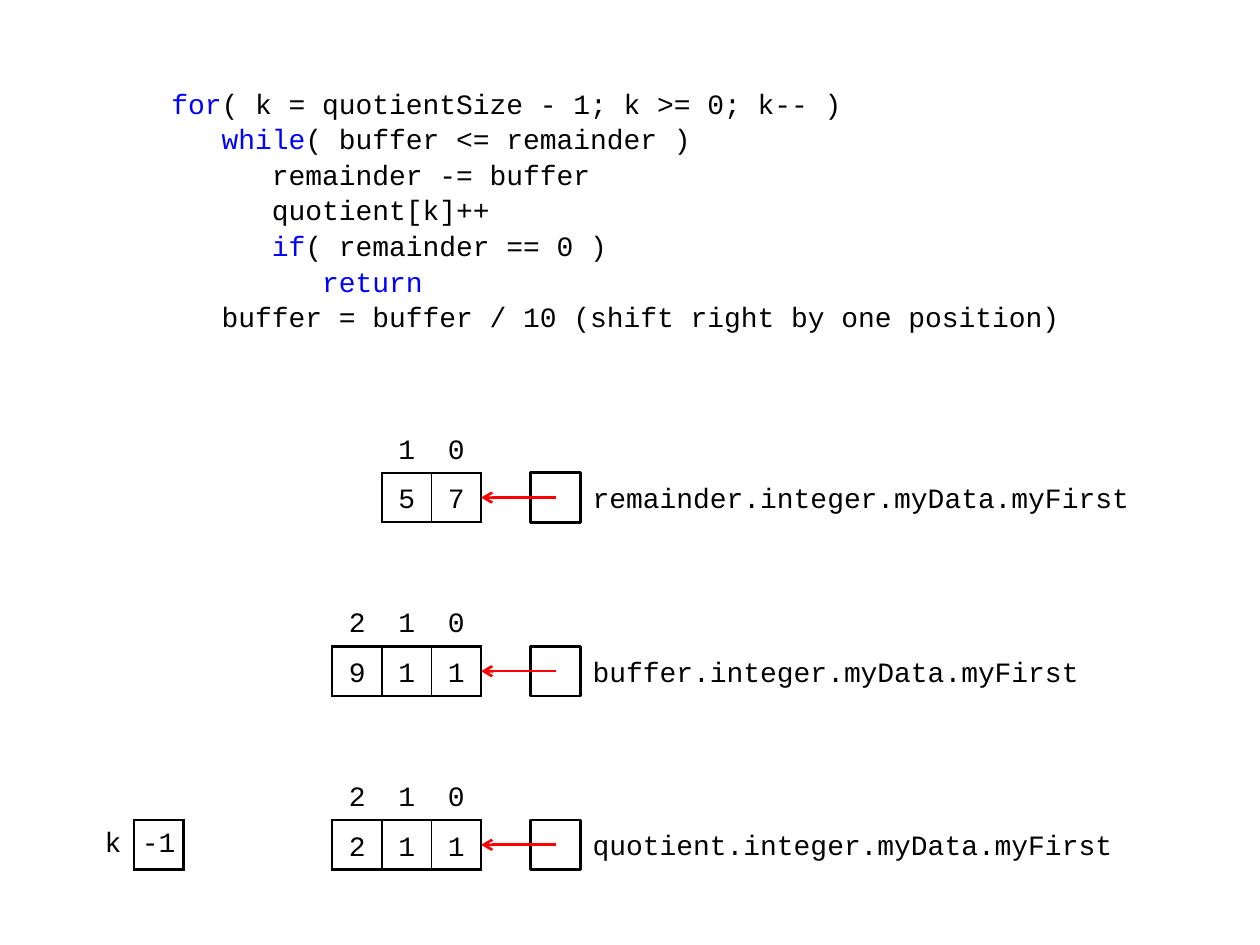
import pptx
import pptx.dml.color
import pptx.enum.shapes
import pptx.enum.text
import pptx.oxml.ns
import pptx.util
from lxml import etree

COLORS = {"ink": "000000", "keyword": "0000FF", "arrow": "FF0000", "paper": "FFFFFF"}
NO_STYLE = "{2D5ABB26-0587-4C30-8999-92F81FD0307C}"
THICK, THIN = 1.5, 0.75
ALIGN = pptx.enum.text.PP_ALIGN
MIDDLE = pptx.enum.text.MSO_ANCHOR.MIDDLE

CODE = [
    [("for", "keyword"), ("( k = quotientSize - 1; k >= 0; k-- )", "ink")],
    [("   ", "ink"), ("while", "keyword"), ("( buffer <= remainder )", "ink")],
    [("      remainder -= buffer", "ink")],
    [("      quotient[k]++", "ink")],
    [("      ", "ink"), ("if", "keyword"), ("( remainder == 0 )", "ink")],
    [("         ", "ink"), ("return", "keyword")],
    [("   buffer = buffer / 10 (shift right by one position)", "ink")],
]
NUMBERS = [("remainder", "57"), ("buffer", "911"), ("quotient", "211")]

# Grid of 1 cm cells
ARRAY_END, POINTER, LABEL, K_LEFT = 9.7, 10.7, 11.7, 1.7
FIRST_ROW, ROW_STEP = 9.53, 3.5


def rgb(name):
    return pptx.dml.color.RGBColor.from_string(COLORS[name])


def sub(parent, tag, **attributes):
    return etree.SubElement(parent, pptx.oxml.ns.qn(tag), attributes)


def add_text(p, text, color="ink", size=16, font="Courier New", align=None,
             spacing=None, before=None):
    r = p.add_run()
    r.text = text
    r.font.size = pptx.util.Pt(size)
    r.font.name = font
    r.font.color.rgb = rgb(color)
    if align is not None:
        p.alignment = align
    if spacing is not None:
        p.line_spacing = spacing
    if before is not None:
        p.space_before = pptx.util.Pt(before)


class Diagram:
    """Holds the slide and draws on a grid of 1 cm columns and rows."""

    def __init__(self, s):
        self.s = s
        self.unit = pptx.util.Cm

    def box(self, *cells):
        return [self.unit(c) for c in cells]

    def code(self, sp, lines, col, row, cols, rows):
        sp.left, sp.top, sp.width, sp.height = self.box(col, row, cols, rows)
        tf = sp.text_frame
        tf.auto_size = pptx.enum.text.MSO_AUTO_SIZE.NONE
        tf.margin_top = pptx.util.Inches(0.07)
        for i, line in enumerate(lines):
            p = tf.paragraphs[0] if i == 0 else tf.add_paragraph()
            for text, color in line:
                add_text(p, text, color, spacing=1.06, before=0)
            ppr = p._p.get_or_add_pPr()
            ppr.set("marL", "0")
            ppr.set("indent", "0")
            sub(ppr, "a:buNone")

    def table(self, col, row, cols, rows):
        table = self.s.shapes.add_table(rows, cols, *self.box(col, row, cols, rows)).table
        table.first_row = table.horz_banding = False
        table._tbl.tblPr[0].text = NO_STYLE
        for part in [*table.columns]:
            part.width = self.unit(1)
        for part in [*table.rows]:
            part.height = self.unit(1)
        return table

    def cell(self, cell, text, side=0.1, edge=0.02, borders=None, **style):
        """Fill a cell; borders maps a side (L, R, T, B) to a width in points."""
        tcpr = cell._tc.get_or_add_tcPr()
        for name, width in (borders or {}).items():
            ln = sub(tcpr, f"a:ln{name}", w=str(pptx.util.Pt(width)))
            sub(sub(ln, "a:solidFill"), "a:srgbClr", val=COLORS["ink"])
        cell.fill.background()
        cell.vertical_anchor = MIDDLE
        cell.margin_left = cell.margin_right = pptx.util.Inches(side)
        cell.margin_top = cell.margin_bottom = pptx.util.Inches(edge)
        add_text(cell.text_frame.paragraphs[0], text, **style)

    def array(self, digits, row):
        """Draw the digits with their indices above, ending at ARRAY_END."""
        n = len(digits)
        table = self.table(ARRAY_END - n, row - 1, n, 2)
        style = {"align": ALIGN.CENTER, "spacing": 1.25}
        for i, digit in enumerate(digits):
            self.cell(table.cell(0, i), str(n - 1 - i), borders={"B": THICK}, **style)
            borders = {"L": THIN if i else THICK, "R": THIN if i < n - 1 else THICK,
                       "T": THICK, "B": THICK}
            self.cell(table.cell(1, i), digit, side=0.04, borders=borders, **style)

    def variable(self, name, value, col, row):
        table = self.table(col, row, 2, 1)
        self.cell(table.cell(0, 0), name, edge=0.04, borders={"R": THICK}, align=ALIGN.RIGHT)
        self.cell(table.cell(0, 1), value, side=0.04, edge=0.04,
                  borders=dict.fromkeys("LRTB", THICK), align=ALIGN.CENTER)

    def square(self, col, row):
        sp = self.s.shapes.add_shape(pptx.enum.shapes.MSO_SHAPE.RECTANGLE,
                                     *self.box(col, row, 1, 1))
        sp.shadow.inherit = False
        sp.fill.solid()
        sp.fill.fore_color.rgb = rgb("paper")
        sp.line.color.rgb = rgb("ink")
        sp.line.width = pptx.util.Pt(THICK)

    def arrow(self, start, end, row):
        line = self.s.shapes.add_connector(pptx.enum.shapes.MSO_CONNECTOR.STRAIGHT,
                                           *self.box(start, row, end, row))
        line.line.color.rgb = rgb("arrow")
        line.line.width = pptx.util.Pt(THICK)
        sub(line.line._get_or_add_ln(), "a:tailEnd", type="arrow")
        sub(line._element.spPr, "a:effectLst")

    def label(self, text, col, row, cols=11.5):
        tf = self.s.shapes.add_textbox(*self.box(col, row, cols, 1)).text_frame
        tf.word_wrap = True
        tf.vertical_anchor = MIDDLE
        tf.margin_top = tf.margin_bottom = 0
        tf.margin_left, tf.margin_right = pptx.util.Inches(0.1), pptx.util.Inches(0.08)
        add_text(tf.paragraphs[0], text, before=3)


def main():
    prs = pptx.Presentation()
    prs.slide_width, prs.slide_height = pptx.util.Inches(10), pptx.util.Inches(7.5)
    s = prs.slides.add_slide(prs.slide_layouts[1])
    title = s.shapes.title._element
    title.getparent().remove(title)

    d = Diagram(s)
    d.code(s.placeholders[1], CODE, 3.2, 1.52, 19, 6.5)
    for i, (name, digits) in enumerate(NUMBERS):
        row = FIRST_ROW + i * ROW_STEP
        d.array(digits, row)
        d.square(POINTER, row)
        d.arrow(POINTER + 0.5, ARRAY_END, row + 0.5)
        d.label(f"{name}.integer.myData.myFirst", LABEL, row)
    d.variable("k", "-1", K_LEFT, FIRST_ROW + 2 * ROW_STEP)
    prs.save("out.pptx")


if __name__ == "__main__":
    main()
